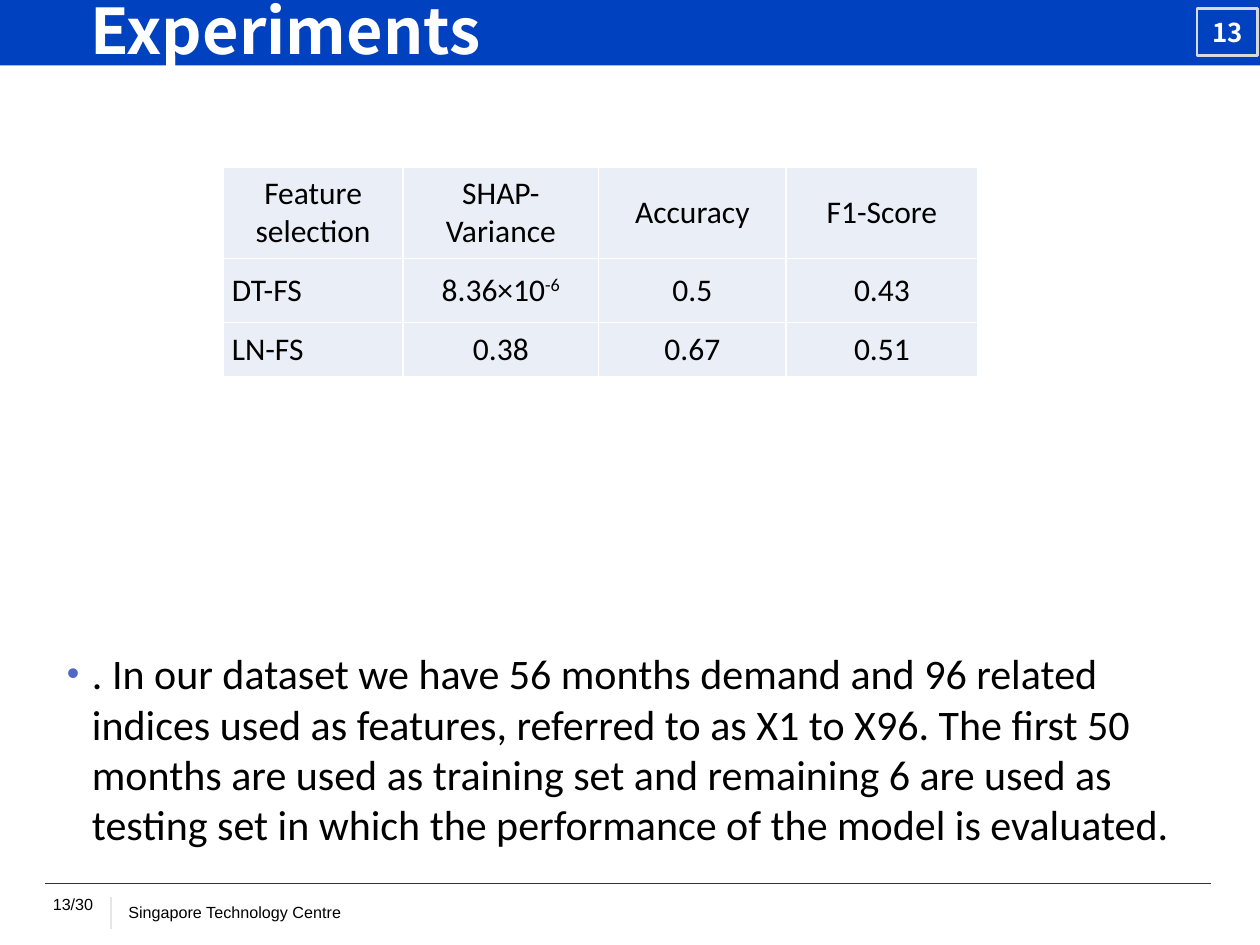
"""Builds the Experiments slide: a header band, a table of scores, a dataset note and a footer."""
from lxml import etree
from pptx import Presentation
from pptx import util as u
from pptx.dml.color import RGBColor
from pptx.enum import shapes, text
from pptx.oxml import parse_xml
from pptx.oxml.ns import nsdecls, qn

COLORS = {"band": "0041C0", "frame": "D9D9D9", "rule": "313231", "divider": "E7E6E6",
          "cell": "EAEFF7", "bullet": "4E67C8", "white": "FFFFFF", "black": "000000"}
COLUMNS, ROWS = 100, 75

deck = Presentation()
deck.slide_width, deck.slide_height = u.Inches(10), u.Inches(7.5)
column, row = deck.slide_width / COLUMNS, deck.slide_height / ROWS
slide = deck.slides.add_slide(deck.slide_layouts[1])


def grid(left, top, width, height):
    return [round(n * step) for n, step in zip((left, top, width, height), (column, row) * 2)]


def write(frame, words, size, face, color, align="LEFT", bold=False, **settings):
    for name, value in settings.items():
        setattr(frame, name, value)
    paragraph = frame.paragraphs[0]
    paragraph.alignment = getattr(text.PP_ALIGN, align)
    for part in words.split("^"):
        run = paragraph.add_run()
        run.text = part
        for name, value in {"size": u.Pt(size), "name": face, "bold": bold}.items():
            setattr(run.font, name, value)
        run.font.color.rgb = RGBColor.from_string(COLORS[color])
    for raised in paragraph.runs[1:]:
        raised.font.element.set("baseline", "30000") if hasattr(raised.font, "element") else \
            raised._r.get_or_add_rPr().set("baseline", "30000")
    return paragraph


middle = {"vertical_anchor": text.MSO_ANCHOR.MIDDLE}
fixed = {"auto_size": text.MSO_AUTO_SIZE.NONE, "word_wrap": True}
flush = dict.fromkeys(("margin_left", "margin_right", "margin_top", "margin_bottom"), 0)

band = slide.shapes.add_shape(shapes.MSO_SHAPE.RECTANGLE, *grid(0, 0, COLUMNS, 5.2))
band.fill.solid()
band.fill.fore_color.rgb = RGBColor.from_string(COLORS["band"])
band.line.fill.background()
band.shadow.inherit = False

number = slide.shapes.add_shape(shapes.MSO_SHAPE.RECTANGLE, *grid(95, 0.7, 4.8, 3.7))
number.fill.background()
number.line.color.rgb = RGBColor.from_string(COLORS["frame"])
number.line.width = u.Pt(1.5)
number.shadow.inherit = False
write(number.text_frame, "13", 14.8, "Noto Sans CJK JP", "white", "CENTER", True,
      word_wrap=False, **middle)

for x1, y1, x2, y2, color in ((3.6, 70.1, 96.1, 70.1, "rule"), (8.8, 71.2, 8.8, 73.7, "divider")):
    rule = slide.shapes.add_connector(shapes.MSO_CONNECTOR.STRAIGHT, *grid(x1, y1, x2, y2))
    rule.line.color.rgb = RGBColor.from_string(COLORS[color])
    rule.line.width = u.Pt(0.75)
    etree.SubElement(rule.element.spPr, qn("a:effectLst"))

centre = slide.shapes.add_textbox(*grid(9.2, 71.1, 41.7, 2.5))
write(centre.text_frame, "Singapore Technology Centre", 9.2, "Arial", "black", word_wrap=True)
progress = slide.shapes.add_textbox(*grid(3.3, 71, 5, 2.5))
write(progress.text_frame, "13/30", 9.2, "Arial", "black", "CENTER", word_wrap=False, **flush)

title, note = slide.placeholders
for holder, place in ((title, (6.2, 0, 88.1, 4.7)), (note, (4.3, 50.9, 90, 17.3))):
    holder.left, holder.top, holder.width, holder.height = grid(*place)
    holder.element.getparent().append(holder.element)
write(title.text_frame, "Experiments", 36, "Noto Sans CJK JP", "white", bold=True,
      **fixed, **middle)
dataset = write(note.text_frame,
                ". In our dataset we have 56 months demand and 96 related indices used as features, "
                "referred to as X1 to X96. The first 50 months are used as training set and "
                "remaining 6 are used as testing set in which the performance of the model is "
                "evaluated.", 24, "Calibri", "black", **fixed)
dataset.space_before = u.Pt(4.8)
bullet = dataset._p.get_or_add_pPr()
for name, value in {"marL": 2 * column, "indent": -2 * column}.items():
    bullet.set(name, str(round(value)))
for tag in (f'buClr {nsdecls("a")}><a:srgbClr val="{COLORS["bullet"]}"/></a:buClr',
            f'buSzPct {nsdecls("a")} val="85000"/', f'buFont {nsdecls("a")} typeface="Arial"/',
            f'buChar {nsdecls("a")} char="•"/'):
    bullet.append(parse_xml(f"<a:{tag}>"))

scores = (("Feature selection", "SHAP-Variance", "Accuracy", "F1-Score"),
          ("DT-FS", "8.36×10^-6", "0.5", "0.43"),
          ("LN-FS", "0.38", "0.67", "0.51"))
table = slide.shapes.add_table(3, 4, *grid(17.7, 13.3, 59.8, 16.5)).table
for line, height in zip(table.rows, (7.2, 5.1, 4.3)):
    line.height = round(height * row)
for field, width in zip(table.columns, (14.3, 15.5, 14.9, 15.2)):
    field.width = round(width * column)
for r, record in enumerate(scores):
    for c, value in enumerate(record):
        cell = table.cell(r, c)
        for name, setting in {**flush, **middle, "margin_left": u.Inches(0.07),
                              "margin_right": u.Inches(0.07)}.items():
            setattr(cell, name, setting)
        write(cell.text_frame, value, 18, "Calibri", "black",
              "JUSTIFY" if r and not c else "CENTER")
        borders = cell._tc.get_or_add_tcPr()
        for side in "LRTB":
            borders.append(parse_xml(
                f'<a:ln{side} {nsdecls("a")} w="12700"><a:solidFill>'
                f'<a:srgbClr val="{COLORS["white"]}"/></a:solidFill></a:ln{side}>'))
        cell.fill.solid()
        cell.fill.fore_color.rgb = RGBColor.from_string(COLORS["cell"])

deck.save("out.pptx")
